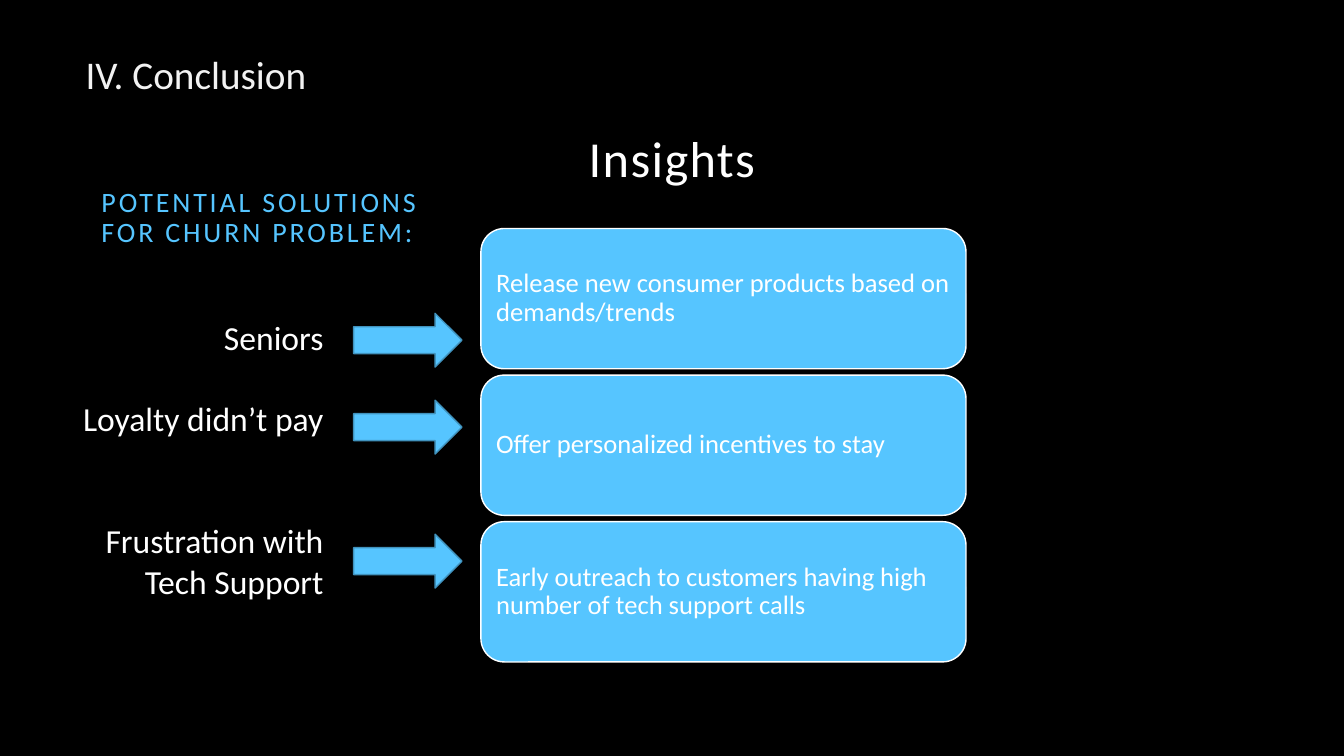
import pptx
import pptx.util
import pptx.dml.color
import pptx.enum.shapes
import pptx.enum.text

Pt = pptx.util.Pt
Kind = pptx.enum.shapes.MSO_SHAPE
Side = pptx.enum.text.PP_ALIGN
Anchor = pptx.enum.text.MSO_ANCHOR
Fit = pptx.enum.text.MSO_AUTO_SIZE

SKY, EDGE, WHITE, PALE = "56C5FF", "4092BD", "FFFFFF", "F2F2F2"

deck = pptx.Presentation()
deck.slide_width = pptx.util.Inches(13.33)
deck.slide_height = pptx.util.Inches(7.5)
COL = deck.slide_width / 160
ROW = deck.slide_height / 90


def tint(code):
    return pptx.dml.color.RGBColor.from_string(code)


def write(frame, lines, size, color, align=Side.LEFT, anchor=Anchor.TOP, lead=None, track=0):
    """Fill a frame with (text, space before in points) lines."""
    frame.word_wrap = True
    frame.auto_size = Fit.NONE
    frame.vertical_anchor = anchor
    for i, (text, gap) in enumerate(lines):
        para = frame.add_paragraph() if i else frame.paragraphs[0]
        para.alignment = align
        para.line_spacing = lead
        if gap:
            para.space_before = Pt(gap)
        run = para.add_run()
        run.text = text
        run.font.name = "Calibri"
        run.font.size = Pt(size)
        run.font.color.rgb = tint(color)
        if track:
            run.font._element.set("spc", str(track * 100))


# Black slide
slide = deck.slides.add_slide(deck.slide_layouts[5])
slide.background.fill.solid()
slide.background.fill.fore_color.rgb = tint("000000")

# Title
title = slide.shapes.title
title.left, title.top = int(20 * COL), int(5 * ROW)
title.width, title.height = int(120 * COL), int(18 * ROW)
write(title.text_frame, [("Insights", 0)], 36, WHITE, Side.CENTER, Anchor.BOTTOM, 0.9, 1)

# Section name, heading and the list of causes, one blank line being 29.3 points
LINE = 29.3
causes = [("Seniors", 0), ("Loyalty didn’t pay", LINE),
          ("Frustration with Tech Support", 2 * LINE)]
texts = [
    (9, 5.4, 64, 6.8, ([("IV. Conclusion", 0)], 28, PALE)),
    (10.9, 19, 43.9, 14, ([("POTENTIAL SOLUTIONS FOR CHURN PROBLEM:", 0)], 20, SKY,
                          Side.LEFT, Anchor.MIDDLE, 0.9, 2)),
    (4, 37.1, 35.7, 35.2, (causes, 24, WHITE, Side.RIGHT)),
]
for x, y, w, h, words in texts:
    box = slide.shapes.add_textbox(int(x * COL), int(y * ROW), int(w * COL), int(h * ROW))
    write(box.text_frame, *words)

# Solution cards, evenly stacked, and the arrows that lead to them
cards = ["Release new consumer products based on demands/trends",
         "Offer personalized incentives to stay",
         "Early outreach to customers having high number of tech support calls"]
parts = [(Kind.ROUNDED_RECTANGLE, 57.25, 27.2 + 17.45 * i, 57.75, 16.7, WHITE, text)
         for i, text in enumerate(cards)]
parts += [(Kind.RIGHT_ARROW, 42.1, y, 12.9, 6.4, EDGE, None) for y in (37.3, 47.65, 63.6)]
for kind, x, y, w, h, edge, text in parts:
    part = slide.shapes.add_shape(kind, int(x * COL), int(y * ROW), int(w * COL), int(h * ROW))
    part.shadow.inherit = False
    part.fill.solid()
    part.fill.fore_color.rgb = tint(SKY)
    part.line.color.rgb = tint(edge)
    part.line.width = Pt(1)
    if text:
        frame = part.text_frame
        frame.margin_left = frame.margin_right = int(COL)
        frame.margin_top = frame.margin_bottom = int(ROW)
        write(frame, [(text, 0)], 19, WHITE, Side.LEFT, Anchor.MIDDLE, 0.9)

deck.save("out.pptx")
